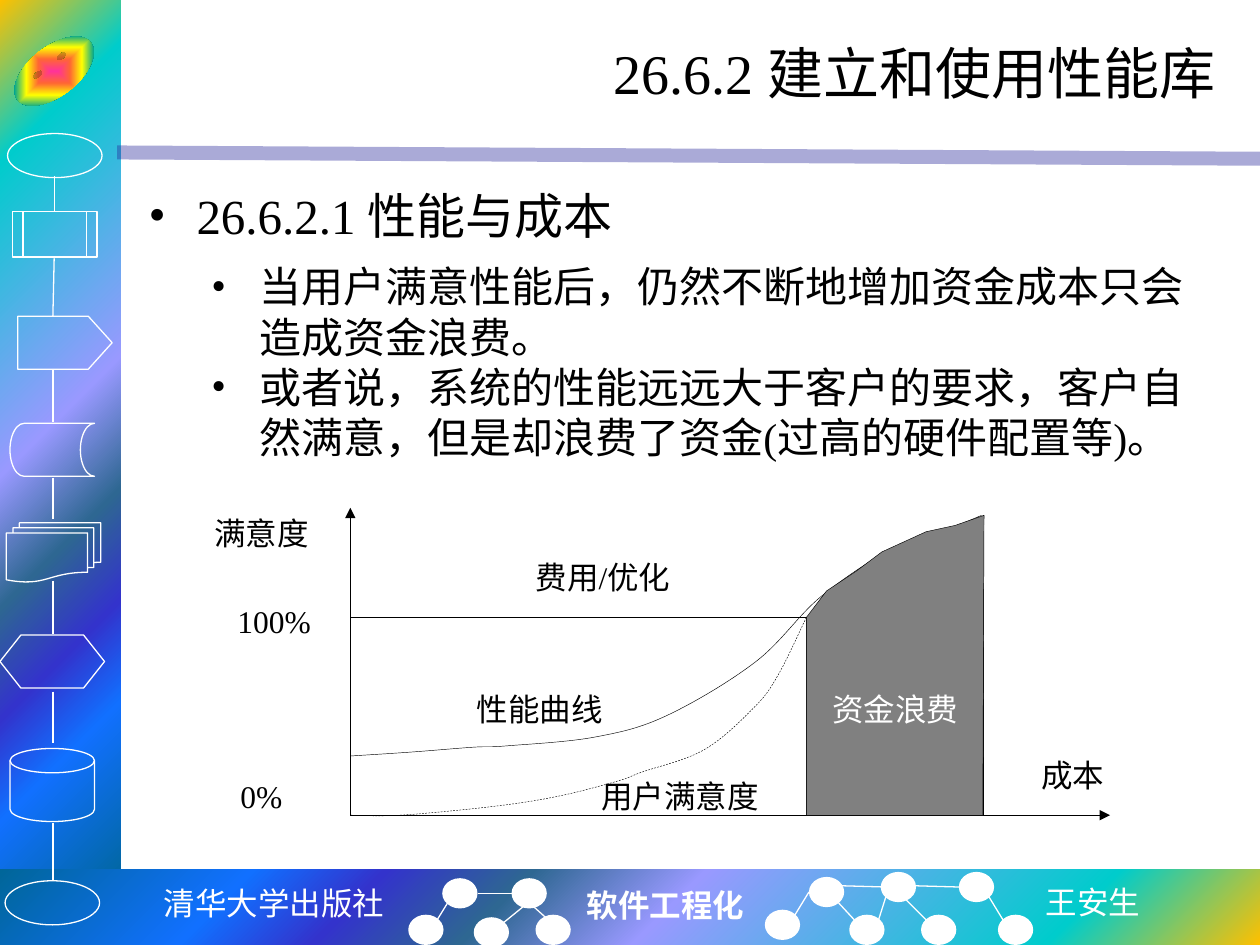
from dataclasses import dataclass
from pptx import Presentation
from pptx.dml.color import RGBColor
from pptx.enum.dml import MSO_LINE as DASH
from pptx.enum.lang import MSO_LANGUAGE_ID as LANG
from pptx.enum.shapes import MSO_CONNECTOR, MSO_SHAPE as SHAPE
from pptx.enum.text import MSO_ANCHOR as ANCHOR, MSO_AUTO_SIZE as AUTO, PP_ALIGN as ALIGN
from pptx.oxml import parse_xml
from pptx.oxml.ns import nsdecls, qn
from pptx.util import Inches, Pt


@dataclass(frozen=True)
class Theme:
    """Colours, fonts and type sizes of the slide."""
    black: str = "000000"
    white: str = "FFFFFF"
    grey: str = "808080"
    rule: str = "262699"
    font: str = "Times New Roman"
    mono: str = "DejaVu Sans Mono"
    sans: str = "Noto Sans CJK SC"
    title: int = 32
    heading: int = 28
    body: int = 24
    label: int = 18
    hair: float = 0.25
    thin: float = 0.75
    thick: float = 8
    frame: tuple = ((0, "FFC000"), (16, "00CCCC"), (47, "9999FF"), (60, "2E6792"),
                    (71, "3333CC"), (81, "1170FF"), (100, "006699"))
    rainbow: tuple = ((0, "FF3399"), (25, "FF6633"), (50, "FFFF00"),
                      (75, "01A78F"), (100, "3366FF"))


T = Theme()


def write(tf, *lines, size=T.label, font=T.font, color=T.black, bold=False,
          align=None, bullet=None, level=0):
    """Write one paragraph per line, with an optional bullet indent in inches."""
    for i, line in enumerate(lines):
        p = tf.paragraphs[0] if i == 0 else tf.add_paragraph()
        p.level = level
        if bullet:
            pPr = p._p.get_or_add_pPr()
            pPr.set("marL", str(Inches(bullet)))
            pPr.set("indent", str(Inches(-0.38)))
            pPr.append(parse_xml(f'<a:buFont {nsdecls("a")} typeface="{font}"/>'))
            pPr.append(parse_xml(f'<a:buChar {nsdecls("a")} char="•"/>'))
        p.alignment = align
        p.space_before = Pt(0)
        r = p.add_run()
        r.text = line
        r.font.name, r.font.size, r.font.bold = font, Pt(size), bold
        r.font.color.rgb = RGBColor.from_string(color)
        r.font.language_id = LANG.SIMPLIFIED_CHINESE


def bend(sp):
    """Turn the straight segments of a freeform into a smooth curve through its points."""
    segments = list(sp._element.iter(qn("a:lnTo")))
    pts = [(int(pt.get("x")), int(pt.get("y"))) for pt in sp._element.iter(qn("a:pt"))]
    ends = [pts[0], *pts, pts[-1]]
    for seg, a, b, c, d in zip(segments, ends, ends[1:], ends[2:], ends[3:]):
        out = [q + (r - p) / 6 for p, q, r in zip(a, b, c)]
        back = [r - (s - q) / 6 for q, r, s in zip(b, c, d)]
        knots = "".join(f'<a:pt x="{round(x)}" y="{round(y)}"/>' for x, y in (out, back, c))
        curve = parse_xml(f'<a:cubicBezTo {nsdecls("a")}>{knots}</a:cubicBezTo>')
        seg.getparent().replace(seg, curve)


class Deck:
    """Holds the theme and the current slide."""

    def __init__(self, s, theme):
        """Keep the slide and its theme."""
        self.s, self.theme = s, theme

    def place(self, sp, x, y, w, h):
        """Move a placeholder and return its text frame."""
        sp.left, sp.top, sp.width, sp.height = map(Inches, (x, y, w, h))
        sp.text_frame.auto_size = AUTO.NONE
        return sp.text_frame

    def title(self, box, text):
        """Fill the title placeholder."""
        tf = self.place(self.s.shapes.title, *box)
        tf.vertical_anchor = ANCHOR.MIDDLE
        write(tf, text, size=self.theme.title, align=ALIGN.RIGHT)

    def body(self, box, text):
        """Fill the body placeholder."""
        tf = self.place(self.s.placeholders[1], *box)
        write(tf, text, size=self.theme.heading, bullet=0.38)

    def text(self, box, *lines, fill=None, wrap=True, **fmt):
        """Add a text box."""
        sp = self.s.shapes.add_textbox(*map(Inches, box))
        if fill:
            sp.fill.solid()
            sp.fill.fore_color.rgb = RGBColor.from_string(fill)
        sp.text_frame.word_wrap = wrap
        write(sp.text_frame, *lines, **fmt)

    def paint(self, sp, fill, line, width):
        """Set the fill and outline of a shape."""
        sp.shadow.inherit = False
        sp.fill.background()
        if fill:
            sp.fill.solid()
            sp.fill.fore_color.rgb = RGBColor.from_string(fill)
        self.stroke(sp.line, line, width)

    def stroke(self, ln, color, width, dash=None):
        """Set the colour, width and dash of a line."""
        if color is None:
            ln.fill.background()
            return
        ln.color.rgb = RGBColor.from_string(color)
        ln.width = Pt(width)
        if dash:
            ln.dash_style = dash

    def shape(self, kind, box, fill=None, line=None):
        """Add a preset shape."""
        sp = self.s.shapes.add_shape(kind, *map(Inches, box))
        self.paint(sp, fill, line, self.theme.thin)
        return sp

    def gradient(self, sp, stops, path, focus):
        """Give a shape a path gradient."""
        gs = "".join(f'<a:gs pos="{pos * 1000}"><a:srgbClr val="{c}"/></a:gs>' for pos, c in stops)
        rect = " ".join(f'{k}="{v * 1000}"' for k, v in zip("ltrb", focus))
        spPr = sp._element.spPr
        spPr.replace(spPr.find(qn("a:noFill")), parse_xml(
            f'<a:gradFill {nsdecls("a")} rotWithShape="1"><a:gsLst>{gs}</a:gsLst>'
            f'<a:path path="{path}"><a:fillToRect {rect}/></a:path></a:gradFill>'))

    def line(self, x1, y1, x2, y2, color=T.black, width=T.hair, dash=None, arrow=False, alpha=None):
        """Add a straight line, with an optional arrowhead or opacity."""
        c = self.s.shapes.add_connector(MSO_CONNECTOR.STRAIGHT, *map(Inches, (x1, y1, x2, y2)))
        self.stroke(c.line, color, width, dash)
        spPr = c._element.spPr
        if arrow:
            spPr.find(qn("a:ln")).append(parse_xml(f'<a:tailEnd {nsdecls("a")} type="triangle"/>'))
        if alpha:
            clr = next(spPr.iter(qn("a:srgbClr")))
            clr.append(parse_xml(f'<a:alpha {nsdecls("a")} val="{alpha * 1000}"/>'))
        spPr.append(parse_xml(f'<a:effectLst {nsdecls("a")}/>'))

    def outline(self, points, fill=None, dash=None, close=False):
        """Add a filled polygon when closed, or else a smooth curve."""
        first, *rest = [tuple(map(Inches, pt)) for pt in points]
        fb = self.s.shapes.build_freeform(*first)
        fb.add_line_segments(rest, close=close)
        sp = fb.convert_to_shape()
        self.paint(sp, fill, self.theme.black, self.theme.hair)
        if dash:
            sp.line.dash_style = dash
        if not close:
            bend(sp)


def draw_frame(d):
    """Draw the side band, the footer band and their ornaments."""
    for box, focus in (((0, 0, 0.96, 7.09), (0, 0, 100, 100)),
                       ((0, 6.9, 10, 0.6), (100, 100, 0, 0))):
        d.gradient(d.shape(SHAPE.RECTANGLE, box), T.frame, "circle", focus)
    d.line(0.93, 1.21, 10, 1.26, color=T.rule, width=T.thick, alpha=39)

    for kind, *box in ((SHAPE.OVAL, 0.06, 1.06, 0.75, 0.35),
                       (SHAPE.FLOWCHART_PREDEFINED_PROCESS, 0.1, 1.68, 0.67, 0.36),
                       (SHAPE.PENTAGON, 0.14, 2.51, 0.75, 0.42),
                       (SHAPE.FLOWCHART_STORED_DATA, 0.08, 3.36, 0.67, 0.42),
                       (SHAPE.FLOWCHART_MULTIDOCUMENT, 0.05, 4.15, 0.75, 0.47),
                       (SHAPE.FLOWCHART_PREPARATION, 0, 5.04, 0.83, 0.42),
                       (SHAPE.FLOWCHART_MAGNETIC_DISK, 0.08, 5.94, 0.67, 0.58),
                       (SHAPE.OVAL, 0.04, 6.99, 0.75, 0.35)):
        sp = d.shape(kind, box, line=T.white)
        if kind == SHAPE.PENTAGON:
            sp.adjustments[0] = 0.45
    badge = d.shape(SHAPE.SMILEY_FACE, (0.06, 0.37, 0.74, 0.39))
    badge.adjustments[0] = 0.05
    badge.rotation = -38
    d.gradient(badge, T.rainbow, "shape", (50, 50, 50, 50))

    for y1, y2 in ((1.4, 1.68), (2.05, 2.51), (2.93, 3.35), (3.79, 4.12),
                   (4.61, 5.03), (5.49, 5.9), (6.53, 6.99)):
        d.line(0.43 if y1 < 2.5 else 0.42, y1, 0.43 if y1 < 2 else 0.42, y2,
               color=T.white, width=T.thin)
    for x, y in ((3.51, 6.97), (4.06, 6.97), (3.24, 7.26), (3.76, 7.28), (4.25, 7.26),
                 (6.42, 6.96), (6.99, 6.92), (7.61, 6.92), (6.07, 7.22), (6.74, 7.26),
                 (7.31, 7.26), (7.92, 7.26)):
        d.shape(SHAPE.OVAL, (x, y, 0.28, 0.24), fill=T.white)
    for link in ((3.47, 7.3, 3.55, 7.17), (4, 7.32, 4.16, 7.19), (4.06, 7.09, 3.79, 7.09),
                 (4.34, 7.29, 4.24, 7.2), (6.31, 7.26, 6.42, 7.08), (6.68, 7.03, 7.03, 7.04),
                 (6.78, 7.3, 6.65, 7.16), (6.97, 7.31, 7.03, 7.12), (7.26, 7.03, 7.61, 7.04),
                 (7.35, 7.3, 7.15, 7.1), (7.96, 7.3, 7.85, 7.12)):
        d.line(*link, color=T.white, width=T.thin)

    d.text((1.19, 6.97, 1.97, 0.4), "清华大学出版社", wrap=False, font=T.mono, color=T.white,
           align=ALIGN.CENTER)
    d.text((4.56, 6.98, 1.46, 0.4), "软件工程化", wrap=False, color=T.white, bold=True)
    d.text((8.2, 6.96, 0.96, 0.4), "王安生", wrap=False, font=T.sans, color=T.white)


def draw_curves(d):
    """Draw the satisfaction and cost diagram."""
    x0, y0, full, limit, end = 2.78, 6.47, 4.9, 6.4, 7.8
    d.line(x0, y0, x0, 4.03, arrow=True)
    d.line(x0, y0, 8.81, y0, arrow=True)
    d.line(x0, full, limit, full, dash=DASH.ROUND_DOT)
    d.outline([(x0, 6), (3.25, 5.97), (3.76, 5.93), (4.02, 5.92), (4.72, 5.85), (5.29, 5.68),
               (6, 5.25), (6.51, 4.74), (7.07, 4.36), (7.43, 4.24), (7.79, 4.09)])
    d.line(end, y0, end, 4.09)
    d.line(limit, full, limit, y0)
    d.outline([(x0, y0), (3.18, 6.47), (3.92, 6.4), (4.43, 6.32), (4.9, 6.2), (5.09, 6.13),
               (5.59, 5.95), (5.99, 5.61), (6.18, 5.35), (limit, full)], dash=DASH.DASH)
    d.outline([(limit, full), (6.56, 4.69), (6.8, 4.53), (7, 4.38), (7.35, 4.22), (7.58, 4.17),
               (7.81, 4.09), (end, y0), (limit, y0)], fill=T.grey, close=True)
    for text, x, y, w, fill, color in (("满意度", 1.57, 4.03, 1.01, T.white, T.black),
                                       ("100%", 1.57, 4.73, 1.21, None, T.black),
                                       ("0%", 1.57, 6.12, 1.01, T.white, T.black),
                                       ("费用/优化", 3.98, 4.38, 1.61, None, T.black),
                                       ("性能曲线", 3.58, 5.43, 1.41, None, T.black),
                                       ("用户满意度", 4.59, 6.12, 1.61, None, T.black),
                                       ("资金浪费", 6.4, 5.43, 1.41, None, T.white),
                                       ("成本", 8.01, 5.95, 1.01, None, T.black)):
        d.text((x, y, w, 0.52), text, fill=fill, color=color, align=ALIGN.CENTER)


def main():
    """Build and save the slide."""
    prs = Presentation()
    prs.slide_width, prs.slide_height = Inches(10), Inches(7.5)
    d = Deck(prs.slides.add_slide(prs.slide_layouts[1]), T)
    draw_frame(d)
    d.title((1.25, 0.17, 8.5, 0.81), "26.6.2 建立和使用性能库")
    d.body((1.08, 1.42, 8.75, 0.72), "26.6.2.1 性能与成本")
    d.text((1.08, 2.02, 8.47, 1.72), "当用户满意性能后，仍然不断地增加资金成本只会造成资金浪费。",
           "或者说，系统的性能远远大于客户的要求，客户自然满意，但是却浪费了资金(过高的硬件配置等)。",
           size=T.body, bullet=0.88, level=1)
    draw_curves(d)
    prs.save("out.pptx")


if __name__ == "__main__":
    main()
